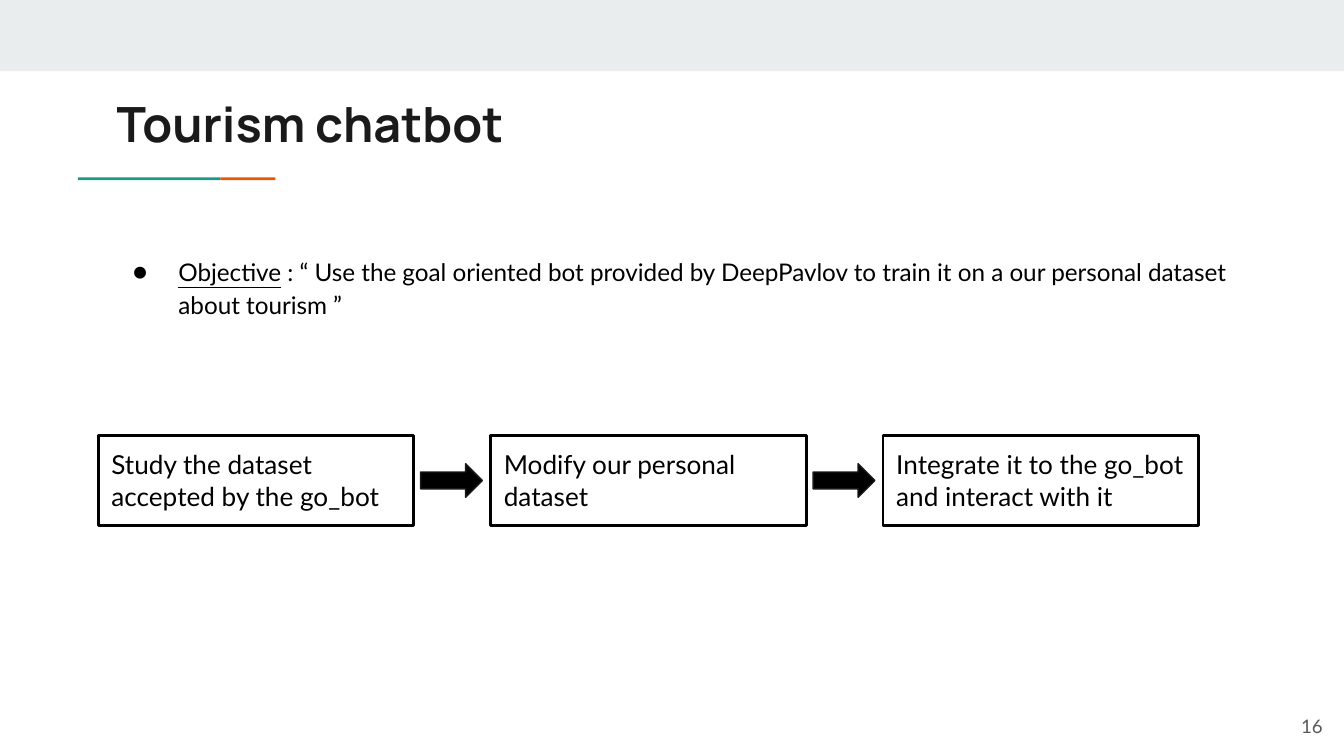
from lxml import etree
from pptx import Presentation
from pptx import util as u
from pptx.dml.color import RGBColor
from pptx.enum import shapes, text
from pptx.oxml import ns

WIDTH = 10
HEIGHT = WIDTH * 9 / 16
BLACK = RGBColor(0, 0, 0)
INK = RGBColor(0x1A, 0x1A, 0x1A)
GRAY = RGBColor(0x59, 0x59, 0x59)
BAND = RGBColor(0xE9, 0xED, 0xEE)
TEAL = RGBColor(0x1A, 0x99, 0x88)
ORANGE = RGBColor(0xEB, 0x56, 0x00)

# Grid of the process row
ROW_LEFT, ROW_TOP, PITCH = 0.73, 3.24, 2.92
BOX_WIDTH, BOX_HEIGHT = 2.35, 0.67
ARROW_WIDTH, ARROW_HEIGHT, ARROW_GAP = 0.46, 0.25, 0.05

STEPS = [
    "Study the dataset accepted by the go_bot",
    "Modify our personal dataset",
    "Integrate it to the go_bot and interact with it",
]


def add_block(slide, kind, box, fill=None, line=None, line_width=0.75):
    shape = slide.shapes.add_shape(kind, *map(u.Inches, box))
    shape.shadow.inherit = False
    if fill is None:
        shape.fill.background()
    else:
        shape.fill.solid()
        shape.fill.fore_color.rgb = fill
    if line is None:
        shape.line.fill.background()
    else:
        shape.line.color.rgb = line
        shape.line.width = u.Pt(line_width)
    return shape


def style_font(font, size, color, name="Lato", bold=False):
    font.name, font.size, font.bold = name, u.Pt(size), bold
    font.color.rgb = color


def write(shape, content, size, color, name="Lato", bold=False,
          align=text.PP_ALIGN.LEFT, anchor=text.MSO_ANCHOR.TOP):
    frame = shape.text_frame
    frame.text = content
    frame.word_wrap = True
    frame.vertical_anchor = anchor
    frame.margin_left = frame.margin_right = u.Inches(0.1)
    frame.margin_top = frame.margin_bottom = u.Inches(0.1)
    paragraph = frame.paragraphs[0]
    paragraph.alignment = align
    for run in paragraph.runs:
        style_font(run.font, size, color, name, bold)
    return paragraph


def add_label(slide, box, content, size, color, **options):
    shape = slide.shapes.add_textbox(*map(u.Inches, box))
    return write(shape, content, size, color, **options)


def add_bullet(paragraph, left, hanging):
    properties = paragraph._p.get_or_add_pPr()
    properties.set("marL", str(u.Inches(left)))
    properties.set("indent", str(-u.Inches(hanging)))
    color = etree.SubElement(properties, ns.qn("a:buClr"))
    etree.SubElement(color, ns.qn("a:srgbClr"), val=str(BLACK))
    etree.SubElement(properties, ns.qn("a:buFont"), typeface="Lato")
    etree.SubElement(properties, ns.qn("a:buChar"), char="●")


def add_objective(slide):
    paragraph = add_label(slide, (0.73, 1.78, 8.64, 0.6), "Objective", 13, BLACK)
    add_bullet(paragraph, 0.5, 0.34)
    paragraph.line_spacing = 1.15
    paragraph.runs[0].font.underline = True
    quote = paragraph.add_run()
    quote.text = (" : “ Use the goal oriented bot provided by DeepPavlov to train it "
                  "on a our personal dataset about tourism ”")
    style_font(quote.font, 13, BLACK)


def add_process(slide):
    for column, step in enumerate(STEPS):
        left = ROW_LEFT + column * PITCH
        box = add_block(slide, shapes.MSO_SHAPE.RECTANGLE,
                        (left, ROW_TOP, BOX_WIDTH, BOX_HEIGHT),
                        line=BLACK, line_width=1.5)
        write(box, step, 14, BLACK)
        if column < len(STEPS) - 1:
            top = ROW_TOP + (BOX_HEIGHT - ARROW_HEIGHT) / 2
            add_block(slide, shapes.MSO_SHAPE.RIGHT_ARROW,
                      (left + BOX_WIDTH + ARROW_GAP, top, ARROW_WIDTH, ARROW_HEIGHT),
                      fill=BLACK, line=INK)


def main():
    presentation = Presentation()
    presentation.slide_width = u.Inches(WIDTH)
    presentation.slide_height = u.Inches(HEIGHT)
    slide = presentation.slides.add_slide(presentation.slide_layouts[6])

    # Top band and two-colour accent rule
    rectangle = shapes.MSO_SHAPE.RECTANGLE
    add_block(slide, rectangle, (0, 0, WIDTH, 0.53), fill=BAND)
    add_block(slide, rectangle, (1.64, 1.32, 0.41, 0.02), fill=ORANGE)
    add_block(slide, rectangle, (0.58, 1.32, 1.06, 0.02), fill=TEAL)

    # Title, objective and page number
    add_label(slide, (0.77, 0.6, 3.61, 0.6), "Tourism chatbot", 26, INK,
              name="Manrope", bold=True)
    add_objective(slide)
    add_label(slide, (9.34, 5.19, 0.6, 0.43), "16", 10, GRAY,
              align=text.PP_ALIGN.RIGHT, anchor=text.MSO_ANCHOR.MIDDLE)

    # Three steps joined by arrows
    add_process(slide)

    presentation.save("out.pptx")


if __name__ == "__main__":
    main()
